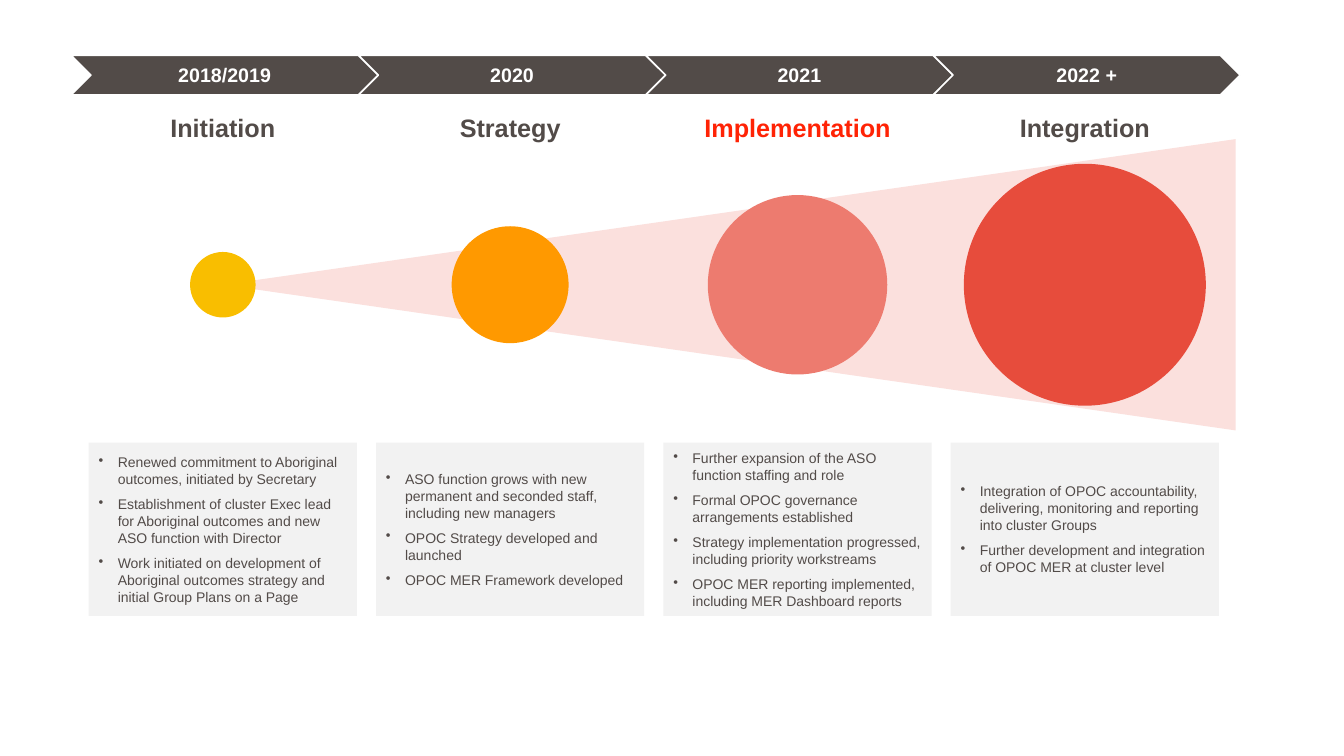
import pptx
import pptx.util
import pptx.dml.color
import pptx.enum.shapes
import pptx.enum.text
import pptx.oxml.ns
from lxml import etree

COLORS = {
    "dark": "524B48", "white": "FFFFFF", "alert": "FF2305",
    "panel": "F2F2F2", "wedge": "FBE0DD", "yellow": "F9BE00",
    "orange": "FF9900", "salmon": "ED7B6F", "red": "E74C3C",
}
SHAPES = pptx.enum.shapes.MSO_SHAPE
ALIGN = pptx.enum.text.PP_ALIGN
MIDDLE = pptx.enum.text.MSO_ANCHOR.MIDDLE

# Year, phase, heading color, circle color, circle diameter in rows, points
STAGES = [
    ("2018/2019", "Initiation", "dark", "yellow", 1.3, [
        "Renewed commitment to Aboriginal outcomes, initiated by Secretary",
        "Establishment of cluster Exec lead for Aboriginal outcomes and new "
        "ASO function with Director",
        "Work initiated on development of Aboriginal outcomes strategy and "
        "initial Group Plans on a Page"]),
    ("2020", "Strategy", "dark", "orange", 2.32, [
        "ASO function grows with new permanent and seconded staff, "
        "including new managers",
        "OPOC Strategy developed and launched",
        "OPOC MER Framework developed"]),
    ("2021", "Implementation", "alert", "salmon", 3.56, [
        "Further expansion of the ASO function staffing and role",
        "Formal OPOC governance arrangements established",
        "Strategy implementation progressed, including priority workstreams",
        "OPOC MER reporting implemented, including MER Dashboard reports"]),
    ("2022 +", "Integration", "dark", "red", 4.8, [
        "Integration of OPOC accountability, delivering, monitoring and "
        "reporting into cluster Groups",
        "Further development and integration of OPOC MER at cluster level"]),
]


class Roadmap:
    """Style and current slide; elements are centred on a grid point."""
    font = "Arial"
    margin = pptx.util.Inches(0.31)
    column = pptx.util.Inches(0.95)
    row = pptx.util.Inches(0.5)

    def __init__(self, page):
        self.page = page

    def color(self, name):
        return pptx.dml.color.RGBColor.from_string(COLORS[name])

    def frame(self, column, row, width, height):
        left = self.margin + column * self.column - width / 2
        top = row * self.row - height / 2
        return [int(value) for value in (left, top, width, height)]

    def shape(self, kind, column, row, width, height, fill):
        shape = self.page.shapes.add_shape(
            kind, *self.frame(column, row, width, height))
        shape.shadow.inherit = False
        shape.fill.solid()
        shape.fill.fore_color.rgb = self.color(fill)
        shape.line.fill.background()
        return shape

    def set_text(self, box, lines, size, color, bold, align):
        box.text_frame.text = "\n".join(lines)
        box.text_frame.vertical_anchor = MIDDLE
        for para in box.text_frame.paragraphs:
            para.alignment = align
            for span in para.runs:
                span.font.name = self.font
                span.font.size = pptx.util.Pt(size)
                span.font.bold = bold
                span.font.color.rgb = self.color(color)

    def wedge(self, column, row, length, base):
        # The triangle is turned on its side, so its base is its width
        triangle = self.shape(SHAPES.ISOSCELES_TRIANGLE, column, row,
                              base * self.row, length * self.column, "wedge")
        triangle.rotation = 270

    def circle(self, column, row, diameter, fill):
        size = diameter * self.row
        self.shape(SHAPES.OVAL, column, row, size, size, fill)

    def chevron(self, column, row, width, height, text):
        arrow = self.shape(SHAPES.CHEVRON, column, row, width * self.column,
                           height * self.row, "dark")
        arrow.line.color.rgb = self.color("white")
        arrow.line.width = pptx.util.Pt(1)
        self.set_text(arrow, [text], 14, "white", True, ALIGN.CENTER)

    def heading(self, column, row, width, height, text, color):
        box = self.page.shapes.add_textbox(*self.frame(
            column, row, width * self.column, height * self.row))
        box.text_frame.word_wrap = True
        self.set_text(box, [text], 18, color, True, ALIGN.CENTER)

    def panel(self, column, row, width, height, points):
        box = self.shape(SHAPES.RECTANGLE, column, row, width * self.column,
                         height * self.row, "panel")
        self.set_text(box, points, 10, "dark", False, ALIGN.LEFT)
        indent = pptx.util.Inches(0.19)
        for para in box.text_frame.paragraphs:
            para.space_after = pptx.util.Pt(6)
            properties = para._p.get_or_add_pPr()
            properties.set("marL", str(indent))
            properties.set("indent", str(-indent))
            bullet = etree.SubElement(properties, pptx.oxml.ns.qn("a:buChar"))
            bullet.set("char", "•")


def main():
    deck = pptx.Presentation()
    deck.slide_width = pptx.util.Inches(13.33)
    deck.slide_height = pptx.util.Inches(7.5)
    roadmap = Roadmap(deck.slides.add_slide(deck.slide_layouts[6]))

    # Widening wedge behind the circles
    roadmap.wedge(7.29, 5.65, 10.57, 5.78)

    # One stage every three columns
    for index, stage in enumerate(STAGES):
        year, phase, heading_color, fill, diameter, points = stage
        center = 2 + 3 * index
        roadmap.chevron(center + 0.02, 1.49, 3.2, 0.78, year)
        roadmap.heading(center, 2.53, 2.2, 0.8, phase, heading_color)
        roadmap.circle(center, 5.65, diameter, fill)
        roadmap.panel(center, 10.5, 2.8, 3.44, points)

    deck.save("out.pptx")


if __name__ == "__main__":
    main()
